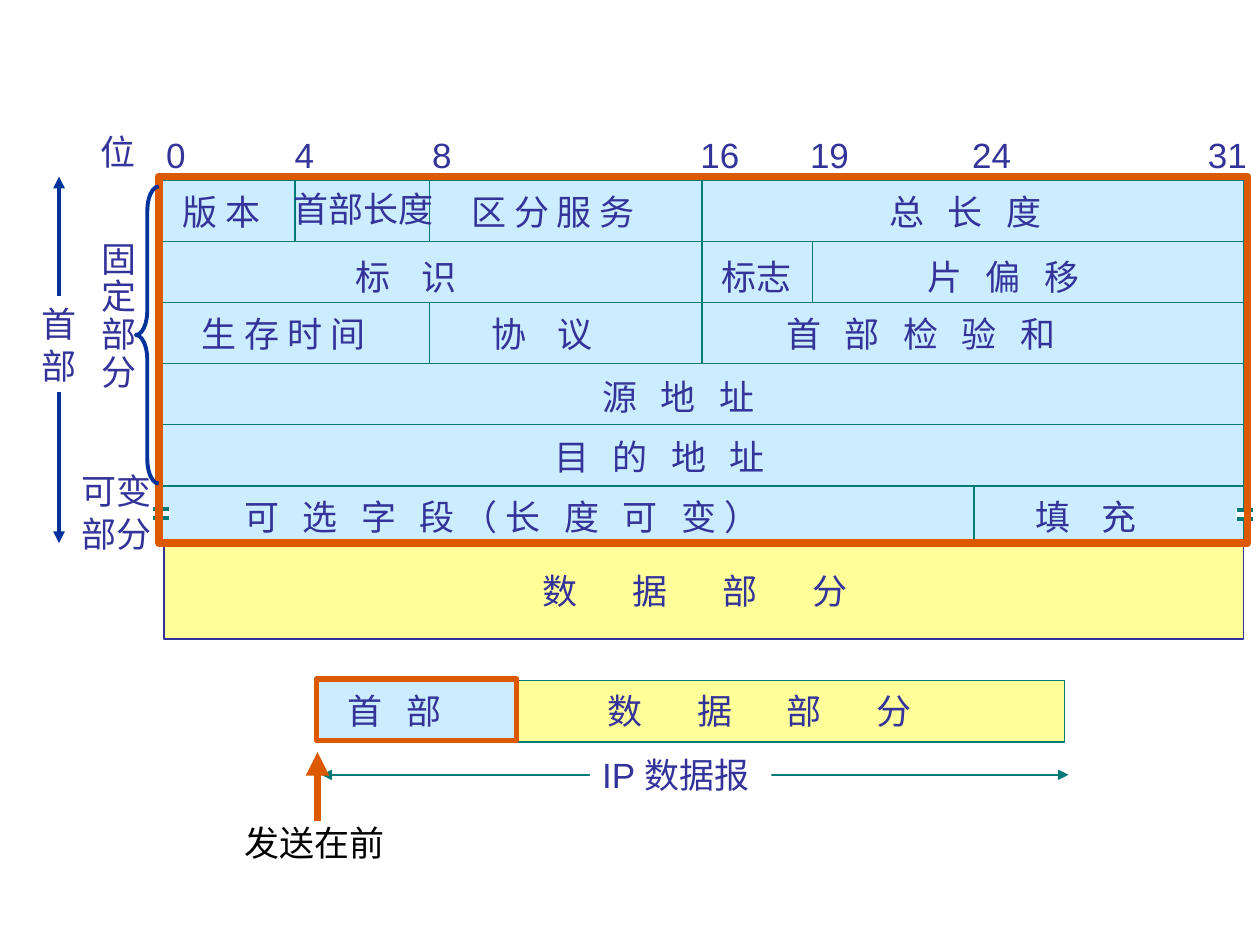
from dataclasses import dataclass

from lxml import etree
from pptx import Presentation
from pptx import util as u
from pptx.dml.color import RGBColor
from pptx.enum import shapes, text
from pptx.oxml import ns


@dataclass(frozen=True)
class Theme:
    ink: str = "333399"
    black: str = "000000"
    teal: str = "007A77"
    navy: str = "003399"
    orange: str = "DC5900"
    header: str = "CCECFF"
    data: str = "FFFF99"
    paper: str = "FFFFFF"
    font: str = "Arial"
    note_font: str = "Times New Roman"
    size: int = 20
    space_width: float = 2.24


THEME = Theme()
LEFT, RIGHT, TOP, ROW = 3.25, 25.12, 3.64, 1.23
LABEL_H = 1.09
BIT_X = {4: 5.94, 8: 8.66, 16: 14.15, 19: 16.38, 24: 19.63}
DIVIDERS = [(4, 0, 1), (8, 0, 1), (8, 2, 3), (16, 0, 3), (19, 1, 2), (24, 5, 6)]
BIT_LABELS = [("0", 3.1), ("4", 5.69), ("8", 8.46), ("16", 13.87),
              ("19", 16.08), ("24", 19.35), ("31", 24.1)]
FIELD_ROWS = [
    (3.71, [("版 本", 3.43, 2.26, 1), ("区 分 服 务", 9.25, 4.39, 1),
            ("总 长 度", 17.68, 4.75, 3)]),
    (5.03, [("标 识", 6.91, 3.33, 4), ("标志", 14.3, 1.93, 1),
            ("片 偏 移", 18.44, 4.75, 3)]),
    (6.17, [("生 存 时 间", 3.81, 4.39, 1), ("协 议", 9.65, 3.33, 4),
            ("首 部 检 验 和", 15.6, 8.28, 3)]),
    (7.44, [("源 地 址", 11.89, 4.75, 3)]),
    (8.66, [("目 的 地 址", 10.92, 6.5, 3)]),
    (9.86, [("可 选 字 段（长 度 可 变）", 4.67, 14.63, 3),
            ("填 充", 20.62, 3.33, 4)]),
]


def rgb(colour):
    return RGBColor.from_string(colour)


def add_box(slide, x, y, w, h, fill=None, line=None, width=1,
            kind=shapes.MSO_SHAPE.RECTANGLE):
    box = slide.shapes.add_shape(kind, u.Cm(x), u.Cm(y), u.Cm(w), u.Cm(h))
    box.shadow.inherit = False
    if fill:
        box.fill.solid()
        box.fill.fore_color.rgb = rgb(fill)
    else:
        box.fill.background()
    if line:
        box.line.color.rgb = rgb(line)
        box.line.width = u.Pt(width)
    else:
        box.line.fill.background()
    return box


def add_line(slide, x1, y1, x2, y2, colour=THEME.teal, width=1, arrows=()):
    rule = slide.shapes.add_connector(
        shapes.MSO_CONNECTOR.STRAIGHT, u.Cm(x1), u.Cm(y1), u.Cm(x2), u.Cm(y2))
    rule.line.color.rgb = rgb(colour)
    rule.line.width = u.Pt(width)
    stroke = rule.line._get_or_add_ln()
    for end in arrows:
        etree.SubElement(stroke, ns.qn(f"a:{end}"), type="triangle")
    etree.SubElement(rule._element.spPr, ns.qn("a:effectLst"))


def add_label(slide, words, x, y, w, h=LABEL_H, gap=1, colour=THEME.ink,
              font=THEME.font, spacing=1.0, fill=None, wrap=False):
    label = slide.shapes.add_textbox(u.Cm(x), u.Cm(y), u.Cm(w), u.Cm(h))
    if fill:
        label.fill.solid()
        label.fill.fore_color.rgb = rgb(fill)
    frame = label.text_frame
    frame.word_wrap = wrap
    frame.auto_size = text.MSO_AUTO_SIZE.SHAPE_TO_FIT_TEXT
    frame.text = words
    for paragraph in frame.paragraphs:
        paragraph.line_spacing = spacing
        for run in paragraph.runs:
            run.font.name = font
            run.font.size = u.Pt(THEME.size)
            run.font.color.rgb = rgb(colour)
            if gap > 1:
                tracking = round((gap - 1) * THEME.space_width * 100)
                run._r.get_or_add_rPr().set("spc", str(tracking))


def add_break_mark(slide, x, y):
    add_box(slide, x, y, 0.36, 0.2, fill=THEME.paper)
    for offset in (0.02, 0.2):
        add_line(slide, x + 0.02, y + offset, x + 0.34, y + offset, width=2)


def add_header_grid(slide):
    add_box(slide, LEFT, 3.61, 21.84, 7.34, THEME.header, THEME.teal, 2)
    add_box(slide, 3.3, 11, 21.77, 1.88, THEME.data, THEME.ink)
    for row in range(1, 6):
        add_line(slide, LEFT, TOP + row * ROW, RIGHT, TOP + row * ROW)
    for bit, first, last in DIVIDERS:
        add_line(slide, BIT_X[bit], TOP + first * ROW,
                 BIT_X[bit], TOP + last * ROW)
    for number, x in BIT_LABELS:
        add_label(slide, number, x, 2.57, 0.89 if len(number) == 1 else 1.3)
    for y, fields in FIELD_ROWS:
        for name, x, w, gap in fields:
            add_label(slide, name, x, y, w, gap=gap)
    add_label(slide, "首部长度", 5.66, 3.66, 3.33)
    add_label(slide, "数 据 部 分", 10.69, 11.35, 8.08, 1.93, gap=7, wrap=True)
    for x, y in ((3.07, 10.24), (24.92, 10.26)):
        add_break_mark(slide, x, y)
    add_box(slide, 3.2, 3.56, 21.95, 7.39, line=THEME.orange, width=4.5)


def add_side_notes(slide):
    add_label(slide, "位", 1.78, 2.51, 1.22)
    add_label(slide, "固\n定\n部\n分", 1.8, 4.75, 1.22, 3.3, spacing=0.9)
    add_label(slide, "可变\n部分", 1.4, 9.35, 1.93, 1.93)
    add_line(slide, 1.19, 3.56, 1.19, 10.95, THEME.navy, 2.25,
             ("headEnd", "tailEnd"))
    add_label(slide, "首\n部", 0.58, 5.97, 1.22, 1.93, fill=THEME.paper)
    brace = add_box(slide, 2.74, 3.76, 0.46, 5.99, line=THEME.navy, width=2.25,
                    kind=shapes.MSO_SHAPE.LEFT_BRACE)
    brace.adjustments[0] = 1.08


def add_datagram(slide):
    add_box(slide, 6.4, 13.72, 3.99, 1.24, THEME.header, THEME.teal)
    add_box(slide, 10.39, 13.72, 11.07, 1.24, THEME.data, THEME.teal)
    add_label(slide, "数 据 部 分", 11.99, 13.77, 8.61, 1.93, gap=7, wrap=True)
    add_label(slide, "首 部", 6.76, 13.77, 2.97, gap=3)
    add_box(slide, 6.38, 13.69, 4.04, 1.24, line=THEME.orange, width=3)
    add_line(slide, 6.48, 15.62, 21.54, 15.62, arrows=("headEnd", "tailEnd"))
    add_label(slide, "IP 数据报", 11.89, 15.06, 3.66, fill=THEME.paper)
    add_line(slide, 6.4, 16.56, 6.4, 15.16, THEME.orange, 4.5, ("tailEnd",))
    add_label(slide, "发送在前", 4.67, 16.43, 3.33, colour=THEME.black,
              font=THEME.note_font)


def main():
    deck = Presentation()
    deck.slide_width, deck.slide_height = u.Cm(25.4), u.Cm(19.05)
    slide = deck.slides.add_slide(deck.slide_layouts[6])
    add_header_grid(slide)
    add_side_notes(slide)
    add_datagram(slide)
    deck.save("out.pptx")


if __name__ == "__main__":
    main()
